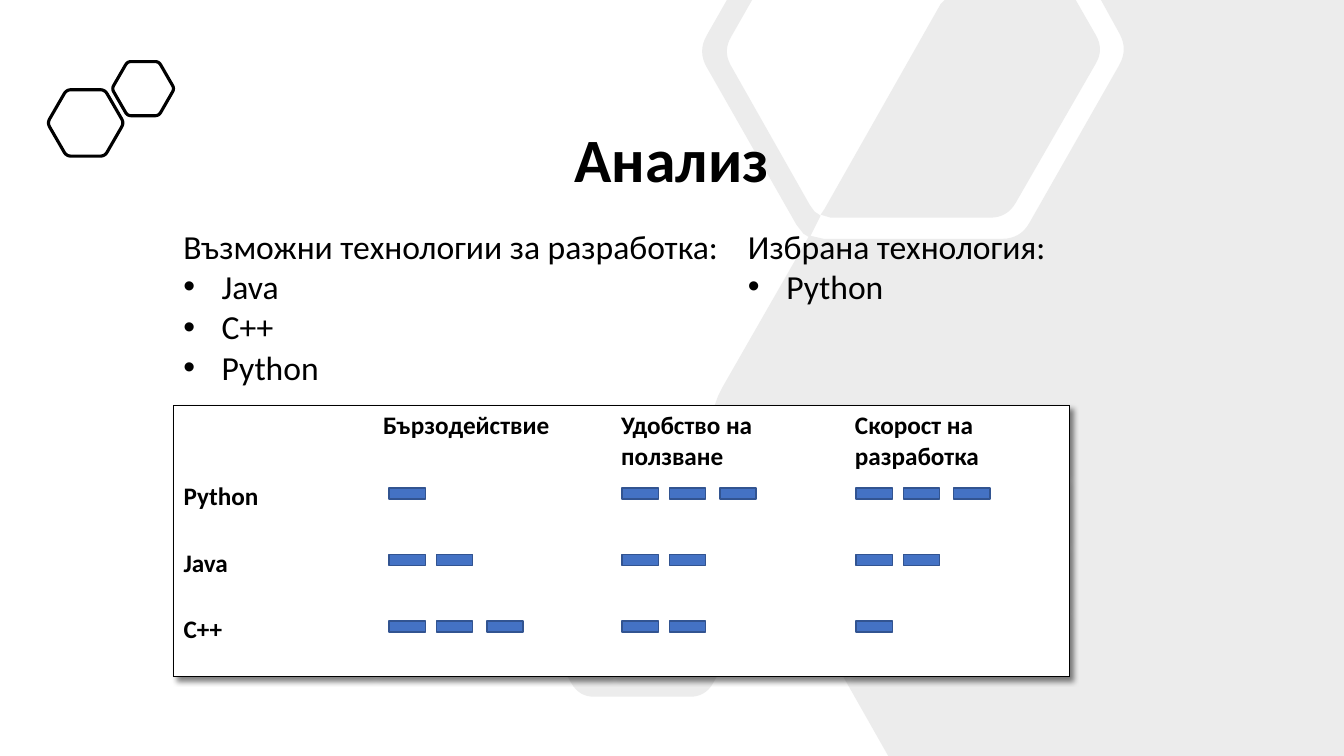
from dataclasses import dataclass
from math import cos, hypot, pi, sin

from lxml.etree import SubElement
from pptx import Presentation
from pptx.dml.color import RGBColor
from pptx.enum.shapes import MSO_SHAPE
from pptx.enum.text import MSO_ANCHOR, MSO_AUTO_SIZE, PP_ALIGN
from pptx.oxml import parse_xml
from pptx.oxml.ns import nsdecls, qn
from pptx.util import Inches, Pt


@dataclass(frozen=True)
class Theme:
    font: str = "Calibri"
    ink: RGBColor = RGBColor(0, 0, 0)
    paper: RGBColor = RGBColor(255, 255, 255)
    backdrop: RGBColor = RGBColor(0x80, 0x80, 0x80)
    bar: RGBColor = RGBColor(0x44, 0x72, 0xC4)
    bar_edge: RGBColor = RGBColor(0x32, 0x54, 0x91)
    title: Pt = Pt(44)
    body: Pt = Pt(24)
    cell: Pt = Pt(18)


@dataclass(frozen=True)
class Corner:
    """A polygon corner; cut is the length of each edge lost to rounding."""
    x: float
    y: float
    cut: float = 0


@dataclass(frozen=True)
class TechList:
    left: float
    width: float
    height: float
    heading: str
    items: tuple[str, ...]


@dataclass(frozen=True)
class Rating:
    tech: str
    scores: tuple[int, int, int]


THEME = Theme()
LISTS = (
    TechList(1.72, 6.35, 1.72, "Възможни технологии за разработка:", ("Java", "C++", "Python")),
    TechList(7.32, 3.29, 0.91, "Избрана технология:", ("Python",)),
)
CRITERIA = ("Бързодействие", "Удобство на ползване", "Скорост на разработка")
RATINGS = (
    Rating("Python", (1, 3, 3)),
    Rating("Java", (2, 2, 2)),
    Rating("C++", (3, 2, 1)),
)
COL_WIDTHS = (1.98, 2.36, 2.32, 2.22)
HEADER_H, ROW_H = 0.69, 0.66
BAR_LEFTS = (3.86, 6.17, 8.49)
BAR_OFFSETS = (0, 0.47, 0.97)
BAR_TOP = 4.84

INNER_PANE = [
    Corner(9.37, 0), Corner(10.67, 0), Corner(10.95, 0.49, 0.16), Corner(9.99, 2.16, 0.17),
    Corner(8.24, 2.16), Corner(8.14, 2.13), Corner(8.18, 2.07), Corner(9.33, 0.04),
]
RIGHT_PANE = [
    Corner(7.21, 0), Corner(7.46, 0), Corner(7.17, 0.51, 0.16), Corner(8.03, 2.03),
    Corner(8.08, 2.1), Corner(8.14, 2.14), Corner(8.04, 2.34), Corner(8.17, 2.37),
    Corner(10.12, 2.37, 0.18), Corner(11.19, 0.49, 0.18), Corner(10.92, 0),
    Corner(13.33, 0), Corner(13.33, 7.5), Corner(8.81, 7.5), Corner(6.95, 4.22, 0.44),
    Corner(8.02, 2.35), Corner(7.97, 2.32), Corner(7.9, 2.23), Corner(6.92, 0.51, 0.18),
]


def hexagon(cx: float, cy: float, radius: float) -> list[Corner]:
    return [Corner(cx + radius * cos(i * pi / 3), cy + radius * sin(i * pi / 3), 0.12 * radius)
            for i in range(6)]


def rounded(corners: list[Corner], steps: int = 8) -> list[tuple[int, int]]:
    """Points of the outline, each cut corner replaced by a quadratic curve."""
    points = []
    for i, c in enumerate(corners):
        if not c.cut:
            points.append((Inches(c.x), Inches(c.y)))
            continue
        ends = []
        for n in (corners[i - 1], corners[(i + 1) % len(corners)]):
            k = c.cut / hypot(n.x - c.x, n.y - c.y)
            ends.append((c.x + k * (n.x - c.x), c.y + k * (n.y - c.y)))
        (x0, y0), (x1, y1) = ends
        for t in (j / steps for j in range(steps + 1)):
            a, b, d = (1 - t) ** 2, 2 * t * (1 - t), t * t
            points.append((Inches(a * x0 + b * c.x + d * x1), Inches(a * y0 + b * c.y + d * y1)))
    return points


def add_outline(s, *contours: list[Corner]):
    first, *rest = map(rounded, contours)
    builder = s.shapes.build_freeform(*first[0])
    builder.add_line_segments(first[1:])
    for points in rest:
        builder.move_to(*points[0])
        builder.add_line_segments(points[1:])
    sp = builder.convert_to_shape()
    sp.shadow.inherit = False
    return sp


def style(p, size: Pt, bold: bool = False) -> None:
    p.font.name, p.font.size, p.font.bold = THEME.font, size, bold
    p.font.color.rgb = THEME.ink


def add_backdrop(s) -> None:
    sp = add_outline(s, hexagon(6.37, 5.83, 1.25), INNER_PANE, RIGHT_PANE)
    sp.fill.solid()
    sp.fill.fore_color.rgb = THEME.backdrop
    color = sp.element.spPr.find(qn("a:solidFill"))[0]
    SubElement(color, qn("a:alpha"), val="15000")
    sp.line.fill.background()
    s.shapes.title.element.addprevious(sp.element)


def add_hexagon_icon(s, cx: float, cy: float, radius: float) -> None:
    sp = add_outline(s, hexagon(cx, cy, radius))
    sp.fill.background()
    sp.line.color.rgb, sp.line.width = THEME.ink, Pt(2.25)


def set_title(s, text: str) -> None:
    sp = s.shapes.title
    sp.left, sp.top, sp.width, sp.height = map(Inches, (3.3, 1.21, 6.73, 0.81))
    tf = sp.text_frame
    tf.text, tf.vertical_anchor, tf.auto_size = text, MSO_ANCHOR.MIDDLE, MSO_AUTO_SIZE.NONE
    p = tf.paragraphs[0]
    p.alignment, p.line_spacing = PP_ALIGN.CENTER, 0.9
    style(p, THEME.title, bold=True)


def add_tech_list(s, tech: TechList) -> None:
    tf = s.shapes.add_textbox(*map(Inches, (tech.left, 2.19, tech.width, tech.height))).text_frame
    tf.word_wrap, tf.auto_size = True, MSO_AUTO_SIZE.SHAPE_TO_FIT_TEXT
    tf.text = "\n".join((tech.heading, *tech.items))
    for i, p in enumerate(tf.paragraphs):
        style(p, THEME.body)
        if i:
            pPr = p._p.get_or_add_pPr()
            pPr.set("marL", str(Inches(0.38)))
            pPr.set("indent", str(-Inches(0.38)))
            pPr.insert(0, parse_xml(f'<a:buFont {nsdecls("a")} typeface="Arial"/>'))
            pPr.insert(1, parse_xml(f'<a:buChar {nsdecls("a")} char="•"/>'))


def add_border(cell, edges: list[str]) -> None:
    tcPr = cell._tc.get_or_add_tcPr()
    for i, edge in enumerate(edges):
        tcPr.insert(i, parse_xml(
            f'<a:{edge} {nsdecls("a")} w="{Pt(0.25)}"><a:solidFill>'
            f'<a:srgbClr val="{THEME.ink}"/></a:solidFill></a:{edge}>'))


def add_rating_table(s) -> None:
    rows = [("", *CRITERIA)] + [(r.tech, "", "", "") for r in RATINGS]
    last_row, last_col = len(rows) - 1, len(COL_WIDTHS) - 1
    table = s.shapes.add_table(len(rows), len(COL_WIDTHS), Inches(1.72), Inches(4.02),
                               Inches(sum(COL_WIDTHS)), Inches(HEADER_H + last_row * ROW_H)).table
    table.first_row = table.horz_banding = False
    tblPr = table._tbl.tblPr
    tblPr.find(qn("a:tableStyleId")).text = "{2D5ABB26-0587-4C30-8999-92F81FD0307C}"
    tblPr.insert(0, parse_xml(
        f'<a:effectLst {nsdecls("a")}><a:outerShdw blurRad="50800" dist="50800" dir="2700000" '
        'algn="tl" rotWithShape="0"><a:srgbClr val="000000"><a:alpha val="50000"/></a:srgbClr>'
        '</a:outerShdw></a:effectLst>'))
    for col, width in zip(table.columns, COL_WIDTHS):
        col.width = Inches(width)
    for i, row in enumerate(rows):
        table.rows[i].height = Inches(ROW_H if i else HEADER_H)
        for j, text in enumerate(row):
            cell = table.cell(i, j)
            cell.text = text
            style(cell.text_frame.paragraphs[0], THEME.cell, bold=True)
            cell.fill.solid()
            cell.fill.fore_color.rgb = THEME.paper
            sides = {"lnL": j == 0, "lnR": j == last_col, "lnT": i == 0, "lnB": i == last_row}
            add_border(cell, [edge for edge, outer in sides.items() if outer])


def add_rating_bars(s) -> None:
    for i, rating in enumerate(RATINGS):
        for left, score in zip(BAR_LEFTS, rating.scores):
            for offset in BAR_OFFSETS[:score]:
                sp = s.shapes.add_shape(MSO_SHAPE.RECTANGLE, Inches(left + offset),
                                        Inches(BAR_TOP + i * ROW_H), Inches(0.36), Inches(0.11))
                sp.shadow.inherit = False
                sp.fill.solid()
                sp.fill.fore_color.rgb = THEME.bar
                sp.line.color.rgb, sp.line.width = THEME.bar_edge, Pt(1)


def main() -> None:
    prs = Presentation()
    prs.slide_width, prs.slide_height = Inches(13.33), Inches(7.5)
    s = prs.slides.add_slide(prs.slide_layouts[5])
    set_title(s, "Анализ")
    add_backdrop(s)
    add_hexagon_icon(s, 0.85, 1.22, 0.38)
    add_hexagon_icon(s, 1.42, 0.88, 0.31)
    add_rating_table(s)
    add_rating_bars(s)
    for tech in LISTS:
        add_tech_list(s, tech)
    prs.save("out.pptx")


if __name__ == "__main__":
    main()
